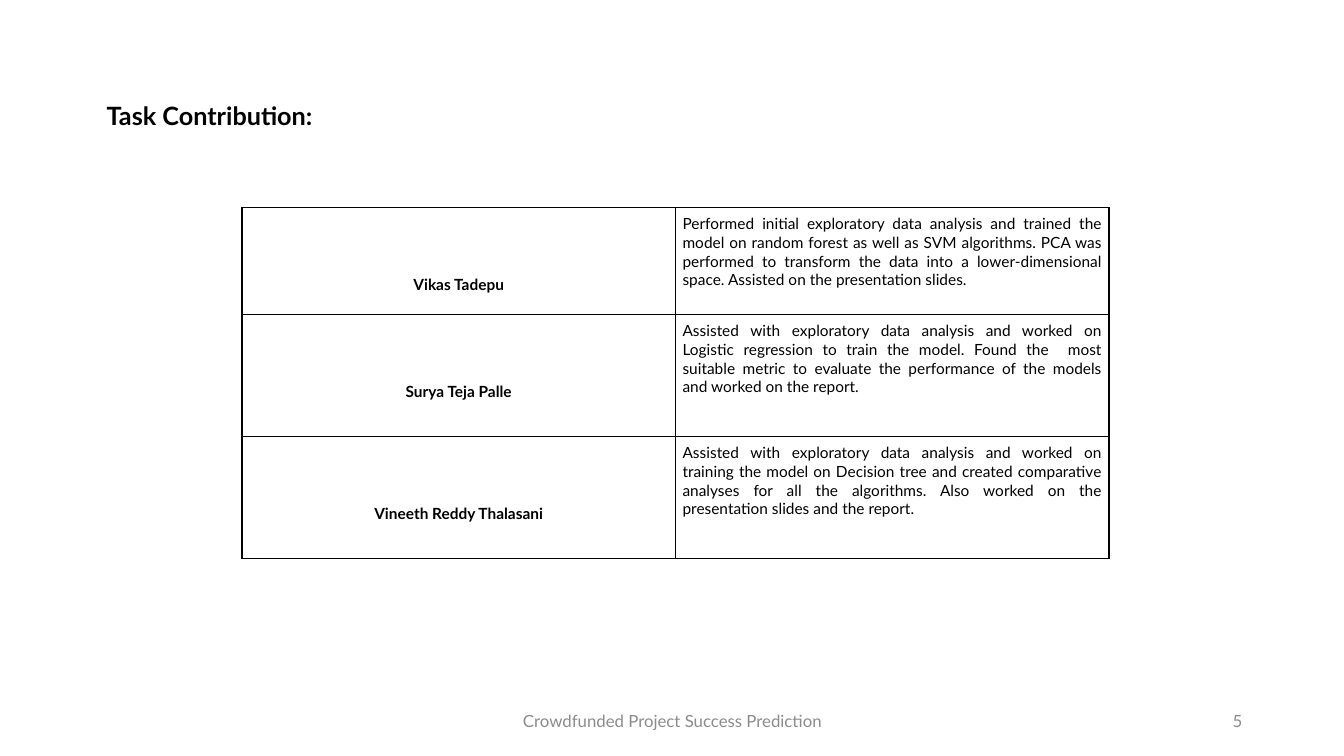
from pptx import Presentation
from pptx.dml.color import RGBColor
from pptx.enum.text import MSO_ANCHOR as ANCHOR, PP_ALIGN as ALIGN
from pptx.oxml import parse_xml
from pptx.oxml.ns import nsdecls
from pptx.util import Inches, Pt

FONT, BLACK, GREY = "Lato", "000000", "8C8C8C"
W, H = 13.33, 7.5
PAD = 0.07
NAME_DROP = 0.6  # names sit two 18 pt lines below the cell's top

TASKS = [
    ("Vikas Tadepu",
     "Performed initial exploratory data analysis and trained the model on random forest "
     "as well as SVM algorithms. PCA was performed to transform the data into a "
     "lower-dimensional space. Assisted on the presentation slides."),
    ("Surya Teja Palle",
     "Assisted with exploratory data analysis and worked on Logistic regression to train "
     "the model. Found the  most suitable metric to evaluate the performance of the "
     "models and worked on the report."),
    ("Vineeth Reddy Thalasani",
     "Assisted with exploratory data analysis and worked on training the model on "
     "Decision tree and created comparative analyses for all the algorithms. Also worked "
     "on the presentation slides and the report."),
]


def color(hex_value):
    return RGBColor.from_string(hex_value)


def write(tf, text, size, align, bold=False, hex_value=BLACK):
    p = tf.paragraphs[0]
    p.alignment = align
    r = p.add_run()
    r.text = text
    for key, value in {"name": FONT, "size": Pt(size), "bold": bold}.items():
        setattr(r.font, key, value)
    r.font.color.rgb = color(hex_value)


def add_label(s, box, text, size, align, anchor=ANCHOR.TOP, **style):
    tf = s.shapes.add_textbox(*map(Inches, box)).text_frame
    tf.word_wrap = True
    tf.vertical_anchor = anchor
    write(tf, text, size, align, **style)


def add_borders(cell):
    tc_pr = cell._tc.get_or_add_tcPr()
    for side in "LRTB":
        tc_pr.append(parse_xml(
            f'<a:ln{side} {nsdecls("a")} w="12700"><a:solidFill>'
            f'<a:srgbClr val="{BLACK}"/></a:solidFill></a:ln{side}>'))


def add_task_table(s, box, row_heights):
    table = s.shapes.add_table(len(TASKS), 2, *map(Inches, box)).table
    table.first_row = table.horz_banding = False
    for column in table.columns:
        column.width = Inches(box[2] / 2)
    for row, height, texts in zip(table.rows, row_heights, TASKS):
        row.height = Inches(height)
        for i, (cell, text) in enumerate(zip(row.cells, texts)):
            is_name = i == 0
            for side in ("left", "right", "top", "bottom"):
                setattr(cell, f"margin_{side}", Inches(PAD))
            if is_name:
                cell.margin_top = Inches(PAD + NAME_DROP)
            write(cell.text_frame, text, 11,
                  ALIGN.CENTER if is_name else ALIGN.JUSTIFY, bold=is_name)
            add_borders(cell)
            cell.fill.background()


def add_footer(s, top, height):
    labels = [(4.42, 4.5, "Crowdfunded Project Success Prediction", ALIGN.CENTER),
              (9.42, 3, "5", ALIGN.RIGHT)]
    for left, width, text, align in labels:
        add_label(s, (left, top, width, height), text, 12, align,
                  ANCHOR.MIDDLE, hex_value=GREY)


def main():
    prs = Presentation()
    prs.slide_width, prs.slide_height = Inches(W), Inches(H)
    s = prs.slides.add_slide(prs.slide_layouts[6])

    # Title
    add_label(s, (0.96, 0.95, 8.33, 0.4), "Task Contribution:", 18, ALIGN.LEFT, bold=True)
    # Contributions by member
    add_task_table(s, (2.4, 2.06, 8.6, 3.47), (1.06, 1.21, 1.21))
    # Footer and slide number
    add_footer(s, 6.95, 0.4)

    prs.save("out.pptx")


if __name__ == "__main__":
    main()
